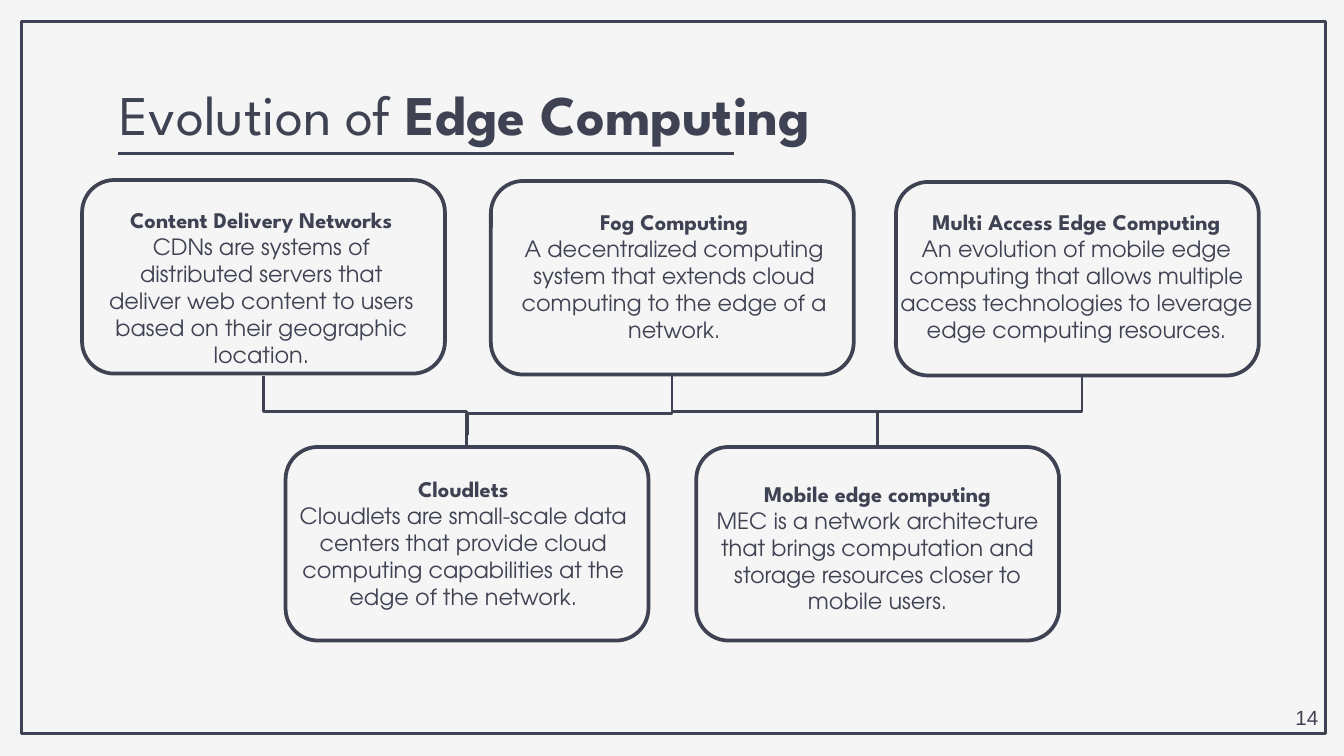
from lxml.etree import SubElement
from pptx import Presentation
from pptx.dml.color import RGBColor
from pptx.enum.shapes import MSO_CONNECTOR as Link, MSO_SHAPE as Preset
from pptx.enum.text import MSO_ANCHOR as Anchor, PP_ALIGN as Align
from pptx.oxml.ns import qn
from pptx.util import Pt

COLORS = {"paper": "F5F5F5", "ink": "3F4252"}
HEADING_FONT, BODY_FONT, NUMBER_FONT = "League Spartan", "TeX Gyre Adventor", "Arial"
CARD_W, CARD_H = 194.4, 103.7
INSET = 7.2

# Card left and top, text left, top, width and height, heading, description
STAGES = [
    ((44, 96.5), (49, 103.5, 182, 89), "Content Delivery Networks",
     "CDNs are systems of distributed servers that deliver web content to "
     "users based on their geographic location."),
    ((263, 97), (261.5, 104.5, 199.5, 103), "Fog Computing",
     "A decentralized computing system that extends cloud computing to the "
     "edge of a network."),
    ((480, 97.5), (473.5, 104.5, 206.5, 42), "Multi Access Edge Computing",
     "An evolution of mobile edge computing that allows multiple access "
     "technologies to leverage edge computing resources."),
    ((153, 239.5), (149.5, 247.5, 197.5, 42), "Cloudlets",
     "Cloudlets are small-scale data centers that provide cloud computing "
     "capabilities at the edge of the network."),
    ((373, 239.5), (373, 250, 194.4, 71), "Mobile edge computing",
     "MEC is a network architecture that brings computation and storage "
     "resources closer to mobile users."),
]

# Upper end and lower end of each branch
BRANCHES = [
    ((141, 201.5), (250, 239.5)),
    ((360, 202.5), (250, 240.5)),
    ((360, 201.5), (470, 239.5)),
    ((579.6, 201.5), (470, 239.5)),
]


def color(name):
    return RGBColor.from_string(COLORS[name])


def style_run(run, font, size, bold=False):
    run.font.name = font
    run.font.size = Pt(size)
    run.font.bold = bold
    run.font.color.rgb = color("ink")


def add_text(slide, box, inset=INSET):
    frame = slide.shapes.add_textbox(*map(Pt, box)).text_frame
    frame.word_wrap = True
    frame.vertical_anchor = Anchor.TOP
    frame.margin_left = frame.margin_right = Pt(INSET)
    frame.margin_top = frame.margin_bottom = Pt(inset)
    return frame


def add_outline(slide, preset, box, weight):
    outline = slide.shapes.add_shape(preset, *map(Pt, box))
    outline.shadow.inherit = False
    outline.fill.background()
    outline.line.color.rgb = color("ink")
    outline.line.width = Pt(weight)


def add_line(slide, start, end, kind=Link.STRAIGHT):
    line = slide.shapes.add_connector(kind, *map(Pt, (*start, *end)))
    line.line.color.rgb = color("ink")
    line.line.width = Pt(1.5)
    SubElement(line._element.spPr, qn("a:effectLst"))
    return line


def add_branch(slide, upper, lower):
    """Elbow that leaves and arrives vertically: a level elbow turned by 90 degrees."""
    (x1, y1), (x2, y2) = upper, lower
    mid_x, mid_y = (x1 + x2) / 2, (y1 + y2) / 2
    half_rise, half_run = (y2 - y1) / 2, (x2 - x1) / 2
    branch = add_line(slide, (mid_x - half_rise, mid_y + half_run),
                      (mid_x + half_rise, mid_y - half_run), Link.ELBOW)
    branch._element.spPr.find(qn("a:xfrm")).set("rot", str(90 * 60000))


def add_title(slide):
    paragraph = add_text(slide, (57, 35.5, 609, 45.5)).paragraphs[0]
    for words, bold in (("Evolution of ", False), ("Edge Computing", True)):
        run = paragraph.add_run()
        run.text = words
        style_run(run, HEADING_FONT, 30, bold)
    add_line(slide, (63.4, 82.3), (393, 82.3))


def add_stage(slide, corner, text_box, heading, description):
    frame = add_text(slide, text_box)
    frame.text = f"{heading}\n{description}"
    for paragraph, font in zip(frame.paragraphs, (HEADING_FONT, BODY_FONT)):
        paragraph.alignment = Align.CENTER
        style_run(paragraph.runs[0], font, 12, font == HEADING_FONT)
    add_outline(slide, Preset.ROUNDED_RECTANGLE, (*corner, CARD_W, CARD_H), 2)


def add_page_number(slide, number):
    frame = add_text(slide, (686.9, 374.4, 33.1, 20.9), inset=3.6)
    frame.text = number
    style_run(frame.paragraphs[0].runs[0], NUMBER_FONT, 11)


def main():
    deck = Presentation()
    deck.slide_width, deck.slide_height = Pt(720), Pt(405)
    slide = deck.slides.add_slide(deck.slide_layouts[6])
    slide.background.fill.solid()
    slide.background.fill.fore_color.rgb = color("paper")

    # Page frame and title
    add_outline(slide, Preset.RECTANGLE, (11.5, 11.5, 698.5, 381.5), 1.5)
    add_title(slide)

    # Branches between the two rows, with a short stub at each lower junction
    for upper, lower in BRANCHES:
        add_branch(slide, upper, lower)
    for x in (250.5, 470):
        add_line(slide, (x, 222.5), (x, 233.3))

    # Stages
    for stage in STAGES:
        add_stage(slide, *stage)

    add_page_number(slide, "14")
    deck.save("out.pptx")


if __name__ == "__main__":
    main()
